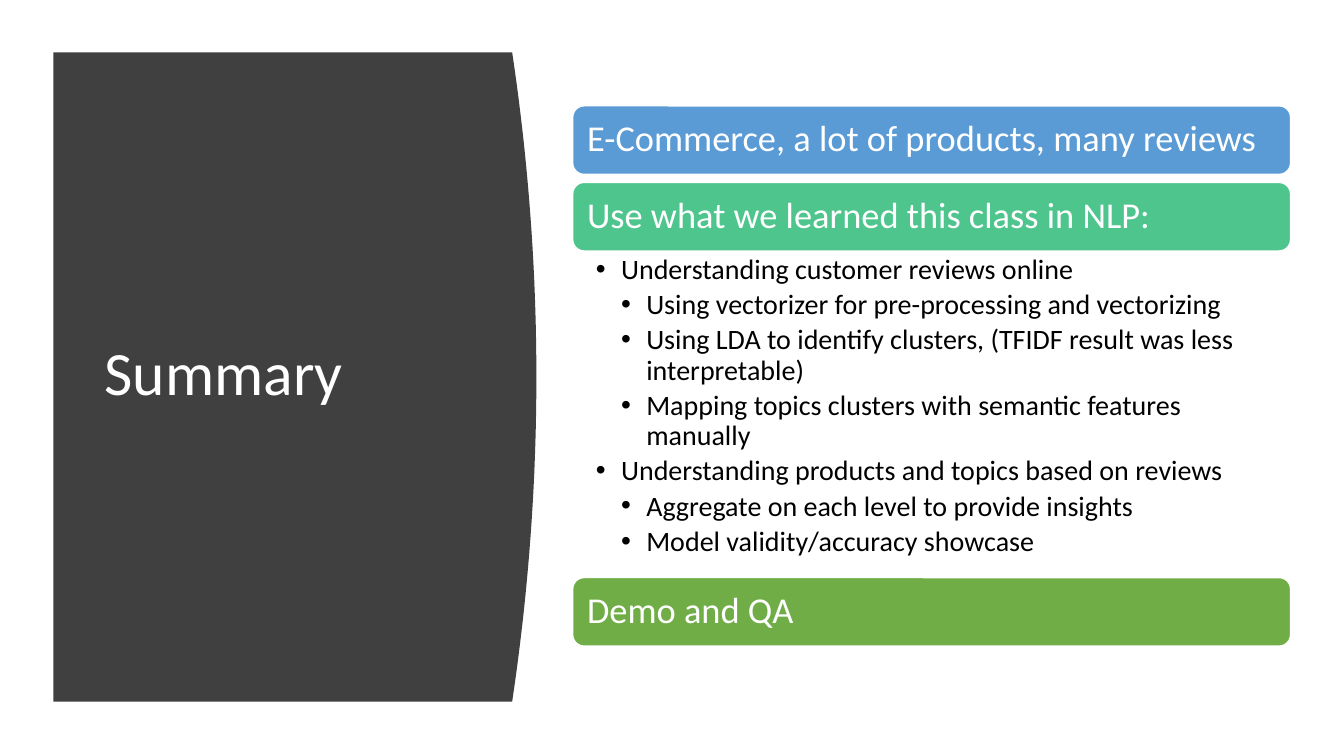
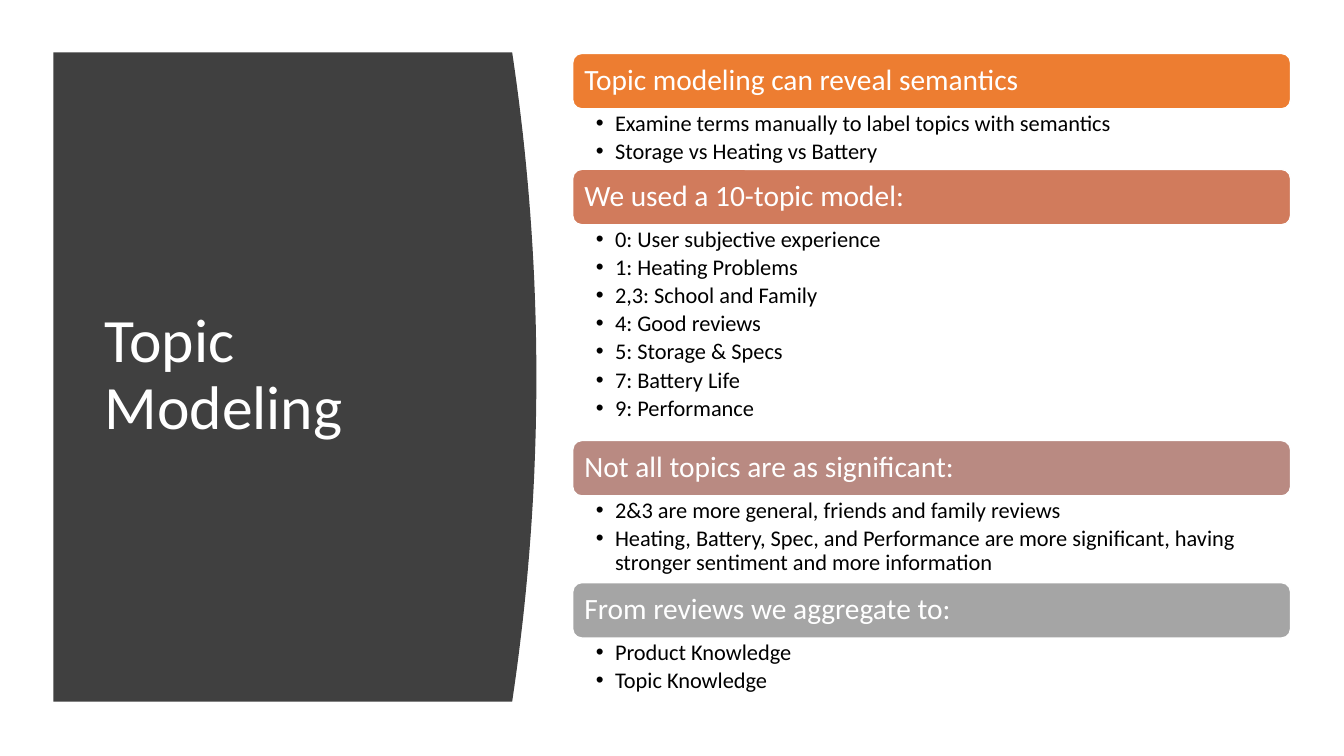
from dataclasses import dataclass

from lxml import etree
from pptx import Presentation
from pptx import util as u
from pptx.dml.color import RGBColor
from pptx.enum import shapes, text
from pptx.oxml.ns import qn


@dataclass(frozen=True)
class Theme:
    font: str = "Calibri"
    panel: str = "404040"
    light: str = "FFFFFF"
    dark: str = "000000"
    title_size: float = 44
    line_spacing: float = 0.9
    space_after: float = 0.18  # share of the type size


@dataclass(frozen=True)
class ListStyle:
    """Measures of one stacked list: lengths in inches, type sizes in points."""
    header_size: float
    header_height: float
    header_inset: float
    bullet_size: float
    bullet_indent: float
    bullet_insets: tuple  # left, top, right, bottom


THEME = Theme()
LARGE = ListStyle(26, 0.68, 0.11, 20, 0.25, (0.23, 0.04, 0.2, 0.04))
SMALL = ListStyle(21, 0.55, 0.09, 16, 0.19, (0.23, 0.03, 0.16, 0.03))
LIST_LEFT, LIST_WIDTH, HEADER_GAP = 5.68, 7.12, 0.08

# Each section: header, colour, height of its bullets, bullets as (level, wording)
SUMMARY = [
    ("E-Commerce, a lot of products, many reviews", "5B9BD5", 0, []),
    ("Use what we learned this class in NLP:", "4DC58D", 3.24, [
        (1, "Understanding customer reviews online"),
        (2, "Using vectorizer for pre-processing and vectorizing"),
        (2, "Using LDA to identify clusters, (TFIDF result was less interpretable)"),
        (2, "Mapping topics clusters with semantic features manually"),
        (1, "Understanding products and topics based on reviews"),
        (2, "Aggregate on each level to provide insights"),
        (2, "Model validity/accuracy showcase"),
    ]),
    ("Demo and QA", "70AD47", 0, []),
]
TOPICS = [
    ("Topic modeling can reveal semantics", "ED7D31", 0.6, [
        (1, "Examine terms manually to label topics with semantics"),
        (1, "Storage vs Heating vs Battery"),
    ]),
    ("We used a 10-topic model:", "D17B5C", 2.14, [
        (1, "0: User subjective experience"),
        (1, "1: Heating Problems"),
        (1, "2,3: School and Family"),
        (1, "4: Good reviews"),
        (1, "5: Storage & Specs"),
        (1, "7: Battery Life"),
        (1, "9: Performance"),
    ]),
    ("Not all topics are as significant:", "B98A82", 0.86, [
        (1, "2&3 are more general, friends and family reviews"),
        (1, "Heating, Battery, Spec, and Performance are more significant, "
            "having stronger sentiment and more information"),
    ]),
    ("From reviews we aggregate to:", "A5A5A5", 0.6, [
        (1, "Product Knowledge"),
        (1, "Topic Knowledge"),
    ]),
]


def paint(shape, fill, line=None):
    shape.shadow.inherit = False
    shape.fill.solid()
    shape.fill.fore_color.rgb = RGBColor.from_string(fill)
    if line:
        shape.line.color.rgb = RGBColor.from_string(line)
        shape.line.width = u.Pt(1)
    else:
        shape.line.fill.background()


def add_bullet(para, level, indent):
    para.level = level
    properties = para._p.get_or_add_pPr()
    properties.set("marL", str(u.Inches(indent * level)))
    properties.set("indent", str(-u.Inches(indent)))
    etree.SubElement(properties, qn("a:buFont")).set("typeface", "Arial")
    etree.SubElement(properties, qn("a:buChar")).set("char", "•")


def write(shape, lines, *, size, color, insets=(0.1, 0.05, 0.1, 0.05),
          anchor=text.MSO_ANCHOR.MIDDLE, space_after=0, indent=0):
    """Fill a shape with (level, wording) lines; level 0 has no bullet."""
    frame = shape.text_frame
    frame.word_wrap = True
    frame.vertical_anchor = anchor
    (frame.margin_left, frame.margin_top,
     frame.margin_right, frame.margin_bottom) = map(u.Inches, insets)
    for number, (level, wording) in enumerate(lines):
        para = frame.add_paragraph() if number else frame.paragraphs[0]
        para.alignment = text.PP_ALIGN.LEFT
        para.line_spacing = THEME.line_spacing
        para.space_after = u.Pt(space_after)
        if level:
            add_bullet(para, level, indent)
        span = para.add_run()
        span.text = wording
        span.font.name = THEME.font
        span.font.size = u.Pt(size)
        span.font.color.rgb = RGBColor.from_string(color)


def add_panel(page):
    """Dark title panel whose right edge bulges as a parabola."""
    left, top, edge, bottom, bulge, steps = 0.53, 0.52, 5.08, 6.96, 0.24, 40
    points = [(left, top)]
    for step in range(steps + 1):
        share = step / steps
        points.append((edge + bulge * 4 * share * (1 - share),
                       top + (bottom - top) * share))
    points.append((left, bottom))
    start, *rest = [(u.Inches(x), u.Inches(y)) for x, y in points]
    builder = page.shapes.build_freeform(*start)
    builder.add_line_segments(rest, close=True)
    paint(builder.convert_to_shape(), THEME.panel)


def add_title(page, wording):
    box = page.shapes.add_textbox(*map(u.Inches, (0.94, 1.11, 3.74, 5.24)))
    write(box, [(0, wording)], size=THEME.title_size, color=THEME.light)


def add_header(page, wording, fill, top, style):
    bar = page.shapes.add_shape(
        shapes.MSO_SHAPE.ROUNDED_RECTANGLE,
        *map(u.Inches, (LIST_LEFT, top, LIST_WIDTH, style.header_height)))
    paint(bar, fill, THEME.light)
    write(bar, [(0, wording)], size=style.header_size, color=THEME.light,
          insets=(style.header_inset,) * 4)


def add_bullets(page, bullets, top, height, style):
    box = page.shapes.add_textbox(
        *map(u.Inches, (LIST_LEFT, top, LIST_WIDTH, height)))
    write(box, bullets, size=style.bullet_size, color=THEME.dark,
          insets=style.bullet_insets, anchor=text.MSO_ANCHOR.TOP,
          space_after=style.bullet_size * THEME.space_after,
          indent=style.bullet_indent)


def add_page(deck, title, sections, top, style):
    """Title panel on the left, sections stacked from top on the right."""
    page = deck.slides.add_slide(deck.slide_layouts[6])
    add_panel(page)
    add_title(page, title)
    for header, fill, height, bullets in sections:
        add_header(page, header, fill, top, style)
        top += style.header_height
        if bullets:
            add_bullets(page, bullets, top, height, style)
        top += height or HEADER_GAP


def main():
    deck = Presentation()
    deck.slide_width, deck.slide_height = u.Inches(13.33), u.Inches(7.5)
    add_page(deck, "Summary", SUMMARY, 1.05, LARGE)
    add_page(deck, "Topic Modeling", TOPICS, 0.53, SMALL)
    deck.save("out.pptx")


if __name__ == "__main__":
    main()
